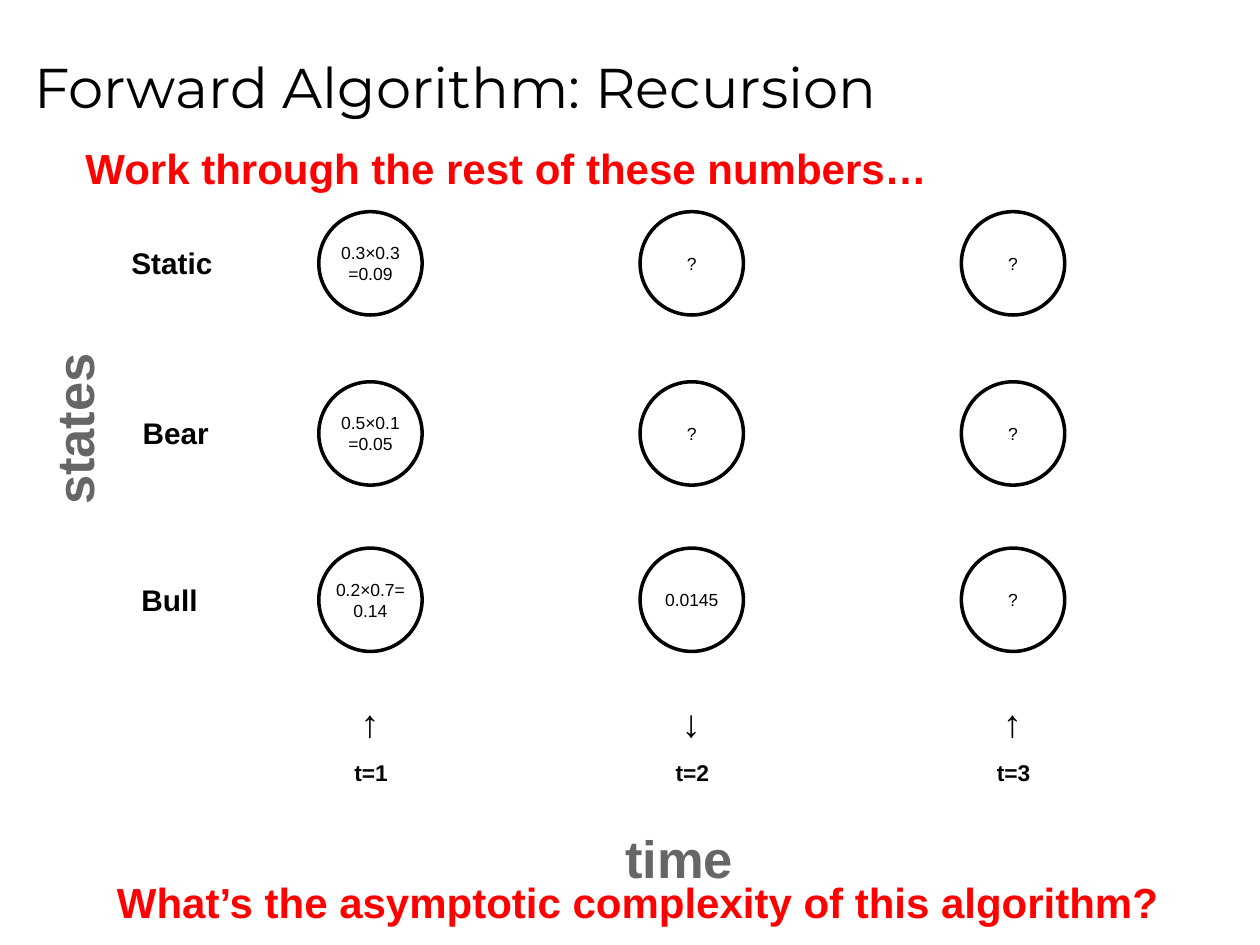
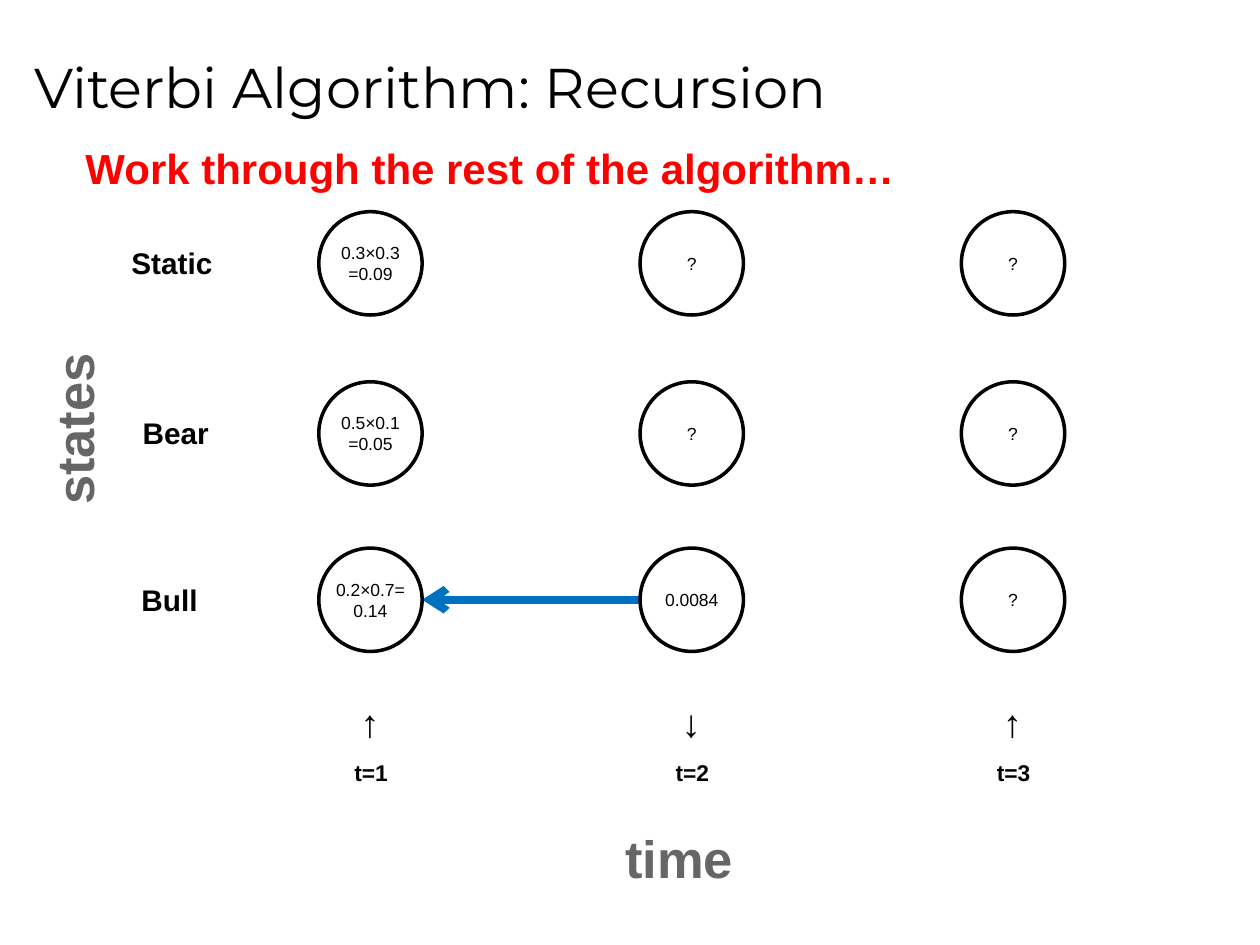
from dataclasses import dataclass

from lxml.etree import SubElement
from pptx import Presentation
from pptx.dml.color import RGBColor
from pptx.enum.shapes import MSO_CONNECTOR, MSO_SHAPE
from pptx.enum.text import MSO_ANCHOR, MSO_AUTO_SIZE, PP_ALIGN
from pptx.oxml.ns import qn
from pptx.util import Inches, Pt


@dataclass(frozen=True)
class Theme:
    heading: str = "Montserrat"
    body: str = "Arial"
    black: RGBColor = RGBColor(0, 0, 0)
    white: RGBColor = RGBColor(255, 255, 255)
    gray: RGBColor = RGBColor(0x66, 0x66, 0x66)
    red: RGBColor = RGBColor(255, 0, 0)
    blue: RGBColor = RGBColor(0x00, 0x70, 0xC0)
    title_size: int = 32
    axis_size: int = 30
    prompt_size: int = 24
    observation_size: int = 22
    state_size: int = 17
    step_size: int = 13
    node_size: int = 10


T = Theme()

NODE = 0.82  # circle diameter
COLUMN_X = [2.94 + 2.55 * i for i in range(3)]  # circle centres
ROW_Y = [2.09, 3.44, 4.76]
STATES = [("Static", 1.04, 0.65), ("Bear", 1.13, 0.53), ("Bull", 1.12, 0.45)]
OBSERVATIONS = "↑↓↑"

SLIDES = [
    {
        "title": "Forward Algorithm: Recursion",
        "prompts": [
            ("Work through the rest of these numbers…", (0.58, 1.08, 6.94, 0.5)),
            ("What’s the asymptotic complexity of this algorithm?", (0.83, 6.91, 8.54, 0.5)),
        ],
        "bull_t2": "0.0145",
        "backpointer": False,
    },
    {
        "title": "Viterbi Algorithm: Recursion",
        "prompts": [
            ("Work through the rest of the algorithm…", (0.58, 1.08, 6.68, 0.5)),
        ],
        "bull_t2": "0.0084",
        "backpointer": True,
    },
]


def write(tf, text, size, color, bold=False, align=PP_ALIGN.CENTER, font=T.body):
    """Fill a text frame, one paragraph per line of text."""
    tf.vertical_anchor = MSO_ANCHOR.MIDDLE
    tf.text = text
    for p in tf.paragraphs:
        p.alignment = align
        for r in p.runs:
            r.font.name, r.font.size, r.font.bold = font, Pt(size), bold
            r.font.color.rgb = color


def add_label(s, text, box, size, color=T.black, align=PP_ALIGN.CENTER, inset=0):
    """Add a bold, unwrapped text box."""
    label = s.shapes.add_textbox(*map(Inches, box))
    tf = label.text_frame
    tf.word_wrap = False
    tf.auto_size = MSO_AUTO_SIZE.SHAPE_TO_FIT_TEXT
    tf.margin_left = tf.margin_right = Inches(inset)
    tf.margin_top = tf.margin_bottom = Inches(inset / 2)
    write(tf, text, size, color, bold=True, align=align)
    return label


prs = Presentation()
prs.slide_width, prs.slide_height = Inches(10), Inches(7.5)

for content in SLIDES:
    s = prs.slides.add_slide(prs.slide_layouts[5])
    title = s.shapes.title
    title.left, title.top = Inches(0.17), Inches(0.12)
    title.width, title.height = Inches(9.5), Inches(1.12)
    write(title.text_frame, content["title"], T.title_size, T.black,
          align=PP_ALIGN.LEFT, font=T.heading)

    # Axes
    add_label(s, "time", (4.96, 6.55, 0.86, 0.51), T.axis_size, T.gray)
    states = add_label(s, "states", (-0.02, 3.15, 1.21, 0.51), T.axis_size, T.gray)
    states.rotation = 270
    for step, (x, observation) in enumerate(zip(COLUMN_X, OBSERVATIONS), 1):
        add_label(s, observation, (x - 0.08, 5.55, 0.15, 0.37), T.observation_size)
        add_label(s, f"t={step}", (x - 0.13, 6.02, 0.27, 0.22), T.step_size)
    for y, (state, left, width) in zip(ROW_Y, STATES):
        add_label(s, state, (left, y - 0.15, width, 0.29), T.state_size)

    # Arrow from Bull at t=2 back to Bull at t=1
    if content["backpointer"]:
        y = Inches(ROW_Y[-1])
        arrow = s.shapes.add_connector(
            MSO_CONNECTOR.STRAIGHT,
            Inches(COLUMN_X[1] - NODE / 2), y, Inches(COLUMN_X[0] + NODE / 2), y)
        arrow.line.color.rgb = T.blue
        arrow.line.width = Pt(4.5)
        SubElement(arrow.line._get_or_add_ln(), qn("a:tailEnd"), type="arrow")
        SubElement(arrow._element.spPr, qn("a:effectLst"))

    # Trellis
    trellis = [
        ["0.3×0.3\n=0.09", "?", "?"],
        ["0.5×0.1\n=0.05", "?", "?"],
        ["0.2×0.7=0.14", content["bull_t2"], "?"],
    ]
    for y, values in zip(ROW_Y, trellis):
        for x, value in zip(COLUMN_X, values):
            node = s.shapes.add_shape(
                MSO_SHAPE.OVAL, Inches(x - NODE / 2), Inches(y - NODE / 2),
                Inches(NODE), Inches(NODE))
            node.shadow.inherit = False
            node.line.color.rgb = T.black
            node.line.width = Pt(2)
            if x == COLUMN_X[-1]:
                node.fill.solid()
                node.fill.fore_color.rgb = T.white
                white = node._element.spPr.find(qn("a:solidFill"))[0]
                SubElement(white, qn("a:alpha"), val="19000")
            else:
                node.fill.background()
            tf = node.text_frame
            tf.margin_left = tf.margin_right = tf.margin_top = tf.margin_bottom = 0
            tf.word_wrap = True
            write(tf, value, T.node_size, T.black)

    for prompt, box in content["prompts"]:
        add_label(s, prompt, box, T.prompt_size, T.red, PP_ALIGN.LEFT, inset=0.1)

prs.save("out.pptx")
